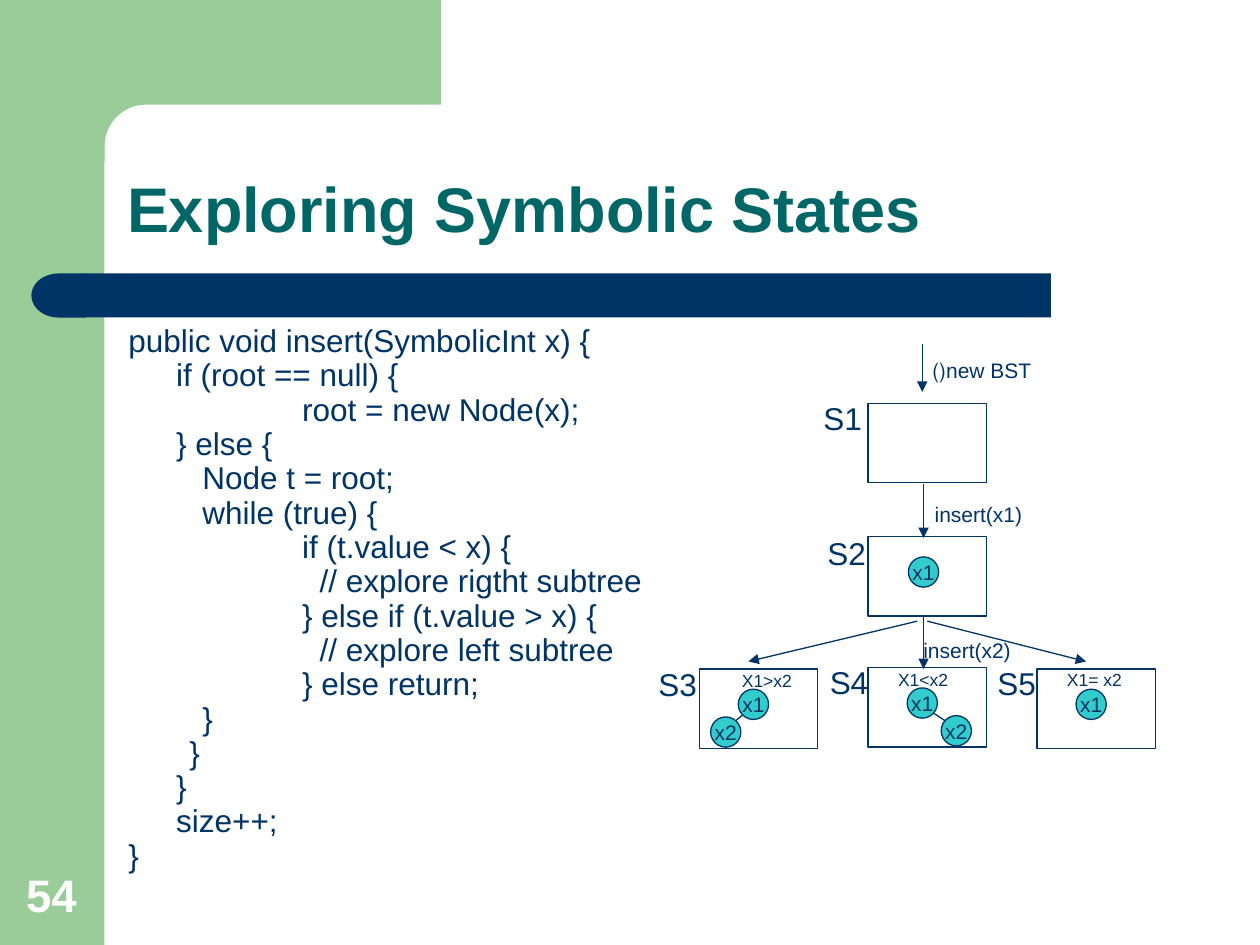
import math
from lxml import etree
from pptx import Presentation
from pptx import util as u
from pptx.dml.color import RGBColor
from pptx.enum import shapes, text
from pptx.oxml.ns import qn

NAVY, GREEN, TEAL, AQUA, WHITE = "003366", "99CC99", "006666", "33CCCC", "FFFFFF"
MSO, AL, ANC = shapes.MSO_SHAPE, text.PP_ALIGN, text.MSO_ANCHOR

CODE = [
    "public void insert(SymbolicInt x) {",
    "\tif (root == null) {",
    "\t\troot = new Node(x);",
    "\t} else {",
    "\t   Node t = root;",
    "\t   while (true) {",
    "\t\tif (t.value < x) {",
    "\t\t  // explore rigtht subtree",
    "\t\t} else if (t.value > x) {",
    "\t\t  // explore left subtree",
    "\t\t} else return;",
    "\t   }",
    "       }",
    "\t}",
    "\tsize++;",
    "}",
]
# State name, name position, box position
STATES = [
    ("S1", (6.31, 3.12), (6.89, 3.2)),
    ("S2", (6.34, 4.19), (6.89, 4.26)),
    ("S3", (5, 5.23), (5.55, 5.31)),
    ("S4", (6.36, 5.21), (6.89, 5.3)),
    ("S5", (7.69, 5.22), (8.23, 5.31)),
]
NODES = [
    ("x1", 7.21, 4.42),
    ("x1", 5.86, 5.47), ("x2", 5.64, 5.69),
    ("x1", 7.2, 5.46), ("x2", 7.47, 5.68),
    ("x1", 8.54, 5.47),
]
CALLS = [("new BST()", 7.3, 2.79), ("insert(x1)", 7.32, 3.93), ("insert(x2)", 7.23, 5.01)]
CONDITIONS = [("X1>x2", 5.79, 5.27), ("X1<x2", 7.03, 5.26), ("X1= x2", 8.37, 5.26)]
ARROWS = [
    (7.32, 2.73, 7.32, 3.11),
    (7.33, 3.84, 7.33, 4.27),
    (7.33, 4.88, 7.33, 5.31),
    (7.28, 4.93, 5.94, 5.25),
    (7.36, 4.93, 8.62, 5.25),
]
EDGES = [(5.9, 5.67, 5.84, 5.72), (7.41, 5.66, 7.5, 5.72)]

prs = Presentation()
prs.slide_width, prs.slide_height = u.Inches(10), u.Inches(7.5)
s = prs.slides.add_slide(prs.slide_layouts[6])


def rgb(color):
    return RGBColor.from_string(color)


def inches(*values):
    return [u.Inches(v) for v in values]


def paint(sp, fill=None, line=None):
    sp.shadow.inherit = False
    if fill:
        sp.fill.solid()
        sp.fill.fore_color.rgb = rgb(fill)
    else:
        sp.fill.background()
    if line:
        sp.line.color.rgb = rgb(line)
        sp.line.width = u.Pt(0.75)
    else:
        sp.line.fill.background()
    return sp


def shape(kind, at, fill=None, line=None):
    return paint(s.shapes.add_shape(kind, *inches(*at)), fill, line)


def write(sp, lines, size, color=NAVY, bold=False, rtl=False, wrap=True,
          anchor=ANC.TOP, indent=0, **para):
    tf = sp.text_frame
    tf.word_wrap, tf.vertical_anchor = wrap, anchor
    for i, line in enumerate(lines):
        p = tf.paragraphs[0] if i == 0 else tf.add_paragraph()
        pPr = p._p.get_or_add_pPr()
        if rtl:
            pPr.set("rtl", "1")
        if indent:
            pPr.set("marL", str(u.Inches(indent)))
            pPr.set("indent", str(-u.Inches(indent)))
            pPr.set("defTabSz", str(u.Inches(1)))
            tabs = etree.SubElement(pPr, qn("a:tabLst"))
            for stop in range(8):
                etree.SubElement(tabs, qn("a:tab"), pos=str(u.Inches(stop)), algn="l")
        for name, value in {"alignment": AL.LEFT, **para}.items():
            if not (i == 0 and name == "space_before"):
                setattr(p, name, value)
        r = p.add_run()
        r.text = line
        for name, value in {"name": "Arial", "size": u.Pt(size), "bold": bold}.items():
            setattr(r.font, name, value)
        r.font.color.rgb = rgb(color)


def label(at, lines, size, **fmt):
    write(s.shapes.add_textbox(*inches(*at)), lines, size, **fmt)


def connect(ends, arrow=False):
    c = s.shapes.add_connector(shapes.MSO_CONNECTOR.STRAIGHT, *inches(*ends))
    c.line.color.rgb = rgb(NAVY)
    c.line.width = u.Pt(0.75)
    if arrow:
        etree.SubElement(c.line._get_or_add_ln(), qn("a:tailEnd"), type="triangle")
    etree.SubElement(c._element.spPr, qn("a:effectLst"))


# Green frame with a rounded inner corner
shape(MSO.RECTANGLE, (0, 0, 0.83, 7.5), GREEN)
R, CENTER = 0.33, 1.16
angles = [math.radians(90 + 7.5 * i) for i in range(13)]
arc = [(CENTER + R * math.cos(a), CENTER - R * math.sin(a)) for a in angles]
outline = [(3.5, 0.83)] + arc + [(0.83, 1.28), (0.5, 1.28), (0.5, 0)]
fb = s.shapes.build_freeform(u.Inches(3.5), 0)
fb.add_line_segments([inches(*pt) for pt in outline], close=True)
paint(fb.convert_to_shape(), GREEN)

# Navy bar with a rounded left end
shape(MSO.RECTANGLE, (0.67, 2.17, 7.67, 0.35), NAVY)
cap = shape(MSO.FLOWCHART_DELAY, (0.25, 2.17, 0.43, 0.35), NAVY)
cap._element.spPr.find(qn("a:xfrm")).set("flipH", "1")

# Title, code and slide number
label((0.91, 0.91, 8.51, 1.09), ["Exploring Symbolic States"], 36, color=TEAL,
      bold=True, anchor=ANC.BOTTOM, line_spacing=0.9)
label((0.92, 2.58, 8.41, 4.63), CODE, 18, indent=0.38,
      line_spacing=0.7, space_before=u.Pt(4.5))
label((0.11, 6.83, 0.64, 0.53), ["54"], 26, color=WHITE, bold=True, anchor=ANC.BOTTOM)

# State boxes with their names
for name, name_at, box_at in STATES:
    shape(MSO.RECTANGLE, (*box_at, 0.94, 0.63), line=NAVY)
    label((*name_at, 0.63, 0.4), [name], 18, rtl=True, alignment=AL.RIGHT)

# Arrows between states, edges between nodes
for ends in ARROWS:
    connect(ends, arrow=True)
for ends in EDGES:
    connect(ends)

# Tree nodes
for name, x, y in NODES:
    node = shape(MSO.OVAL, (x, y, 0.24, 0.24), AQUA, NAVY)
    write(node, [name], 12, rtl=True, wrap=False, anchor=ANC.MIDDLE, alignment=AL.CENTER)

# Calls and path conditions
for words, x, y in CALLS:
    label((x, y, 1.26, 0.3), [words], 12, rtl=True)
for words, x, y in CONDITIONS:
    label((x, y, 1.26, 0.27), [words], 10, rtl=True)

prs.save("out.pptx")
